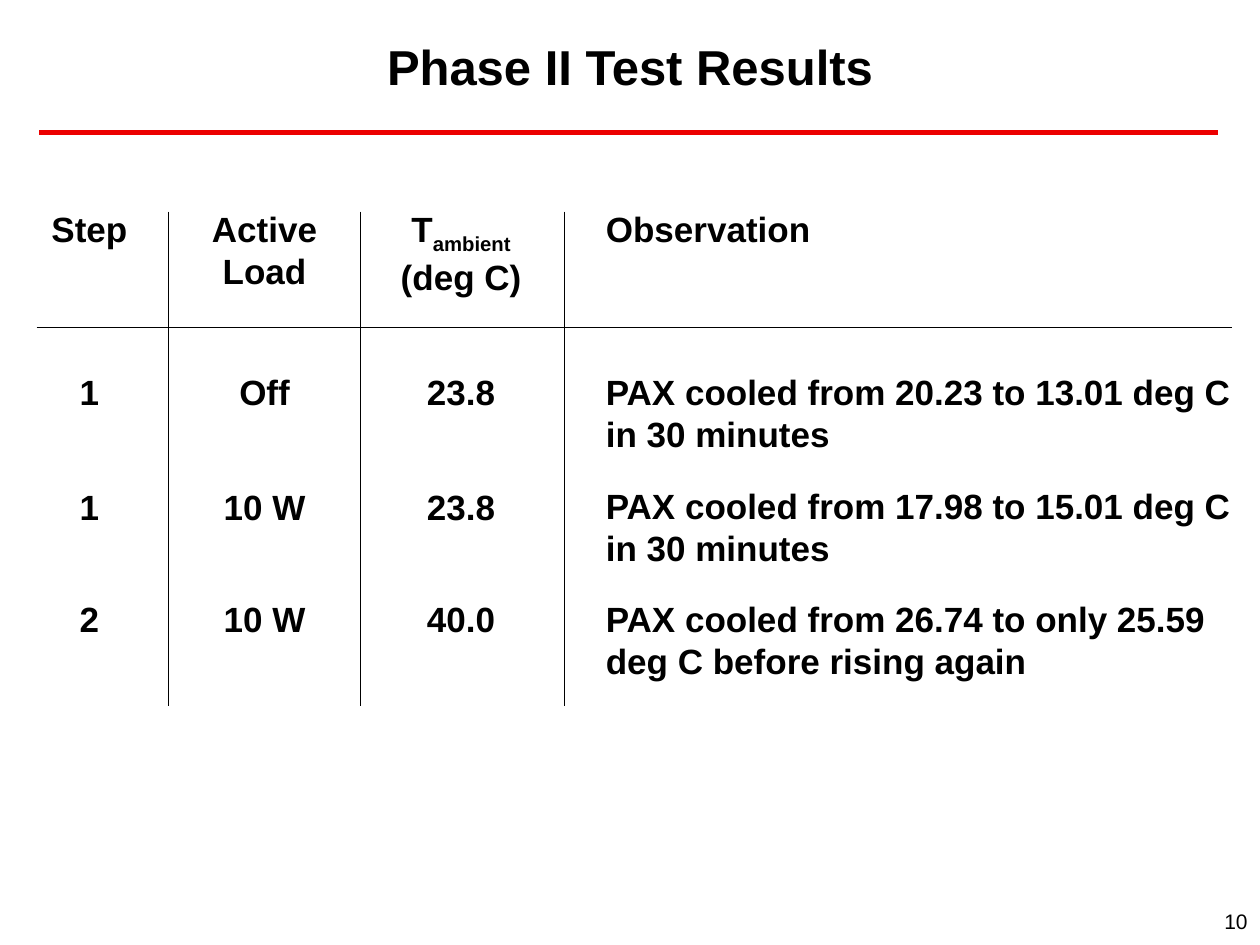
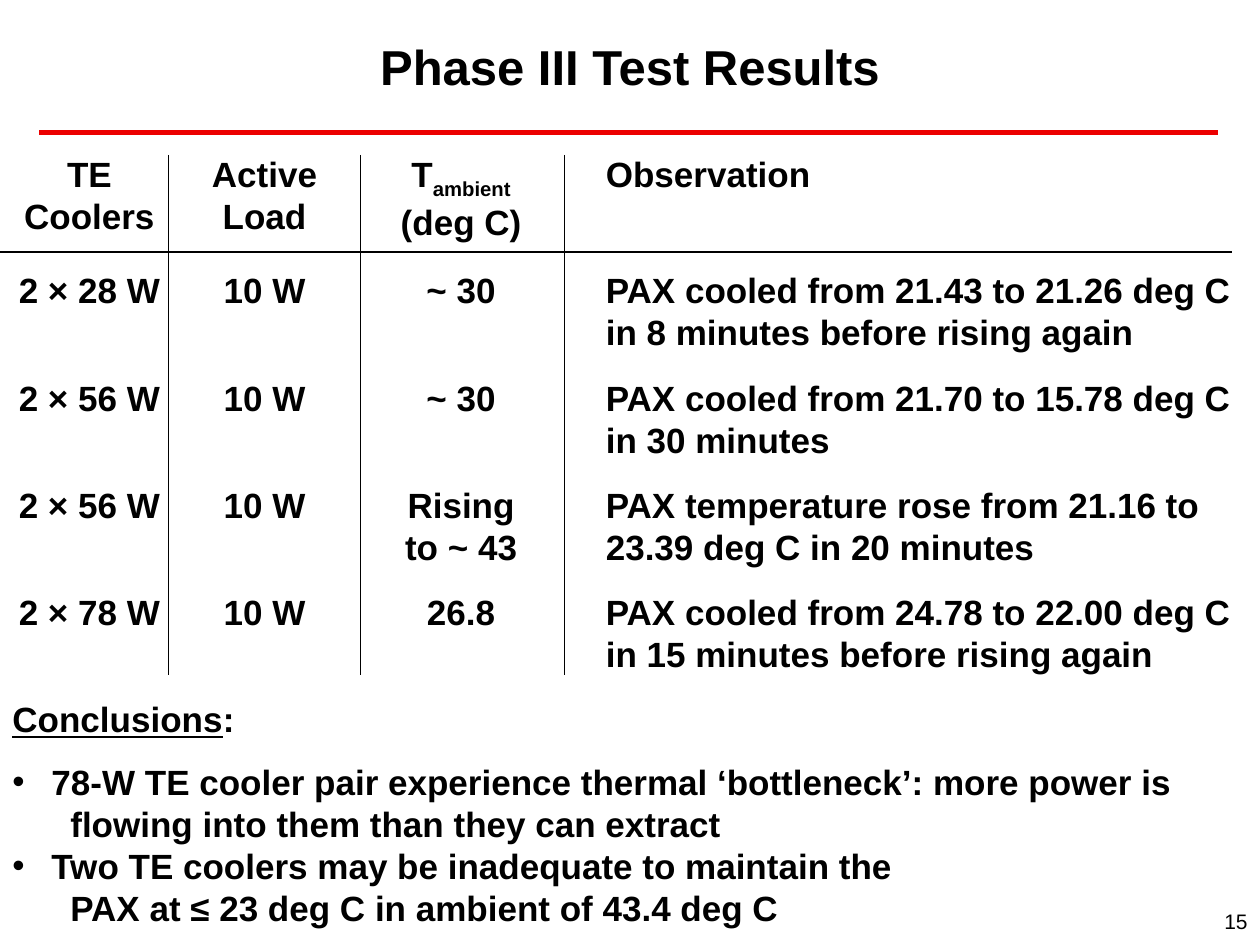
from lxml import etree
from pptx import Presentation
from pptx.dml.color import RGBColor
from pptx.enum import shapes, text
from pptx.oxml import ns
from pptx.util import Inches, Pt

INK = {"text": "000000", "rule": "EC0000"}
FONT = "Arial"
LEFT, MID, RIGHT = text.PP_ALIGN.LEFT, text.PP_ALIGN.CENTER, text.PP_ALIGN.RIGHT

# Columns shared by both result grids: left, width, alignment
COLS = [(0.01, 1.4, MID), (1.35, 1.5, MID), (2.86, 1.6, MID), (4.71, 5.29, LEFT)]
SPLITS = [1.34, 2.86, 4.48]
GRID_END = 9.78
LINE = 0.335

AMBIENT = [[("T", {}), ("ambient", {"baseline": "-25000"})], "(deg C)"]


def add_text(slide, box, paras, size=20, bold=True, align=LEFT,
             anchor=text.MSO_ANCHOR.TOP):
    """Add a text box; a paragraph is a string or a list of (text, run attributes)."""
    frame = slide.shapes.add_textbox(*map(Inches, box)).text_frame
    frame.word_wrap = True
    frame.vertical_anchor = anchor
    for i, para in enumerate(paras):
        p = frame.paragraphs[0] if i == 0 else frame.add_paragraph()
        p.alignment = align
        for words, attrs in [(para, {})] if isinstance(para, str) else para:
            run = p.add_run()
            run.text = words
            run.font.name, run.font.size, run.font.bold = FONT, Pt(size), bold
            run.font.color.rgb = RGBColor.from_string(INK["text"])
            for key, value in attrs.items():
                run._r.get_or_add_rPr().set(key, value)
    return frame


def add_line(slide, start, end, color="text", width=0.75):
    line = slide.shapes.add_connector(shapes.MSO_CONNECTOR.STRAIGHT,
                                      *map(Inches, start + end))
    line.line.color.rgb = RGBColor.from_string(INK[color])
    line.line.width = Pt(width)
    etree.SubElement(line._element.spPr, ns.qn("a:effectLst"))


def add_frame(deck, title, number):
    """Title, red rule and page number."""
    slide = deck.slides.add_slide(deck.slide_layouts[6])
    add_line(slide, (0.31, 1.05), (9.67, 1.05), "rule", 3)
    add_text(slide, (0, 0, 10, 1.04), [title], size=28, align=MID,
             anchor=text.MSO_ANCHOR.MIDDLE)
    add_text(slide, (7.92, 7.16, 2.08, 0.34), [str(number)], size=12,
             bold=False, align=RIGHT)
    return slide


def add_results(slide, box, bar, tops, rows):
    """Ruled grid of tests; bar is the line under the heads, tops start the rows."""
    left, top, width, height = box
    for top_y, row in zip(tops, rows):
        for (x, wide, align), words in zip(COLS, row):
            paras = [words] if isinstance(words, str) else words
            lines = 2 if align == LEFT and top_y > bar else len(paras)
            add_text(slide, (x, top_y, wide, 0.1 + lines * LINE), paras,
                     align=align)
    for x in SPLITS:
        add_line(slide, (x, top), (x, top + height))
    add_line(slide, (left, bar), (left + width, bar))


def add_findings(slide, box, head, points):
    """Underlined heading, then bullets whose second line is set further in."""
    lines = [line for point in points for line in point]
    frame = add_text(slide, box, [[(head, {"u": "sng"}), (":", {})]] + lines)
    starts = [point[0] for point in points]
    for p in frame.paragraphs[1:]:
        props = p._p.get_or_add_pPr()
        if p.text in starts:
            props.set("marL", str(Inches(0.31)))
            props.set("indent", str(-Inches(0.31)))
            etree.SubElement(props, ns.qn("a:buFont"), typeface=FONT)
            etree.SubElement(props, ns.qn("a:buChar"), char="•")
        else:
            props.set("marL", str(Inches(0.46)))
            props.set("indent", "0")
    frame.paragraphs[1].space_before = Pt(12)


def phase_two(deck):
    slide = add_frame(deck, "Phase II Test Results", 10)
    add_results(slide, (0.29, 1.68, GRID_END - 0.29, 3.92), 2.6,
                [1.6, 2.89, 3.8, 4.69], [
        ["Step", ["Active", "Load"], AMBIENT, "Observation"],
        ["1", "Off", "23.8",
         "PAX cooled from 20.23 to 13.01 deg C in 30 minutes"],
        ["1", "10 W", "23.8",
         "PAX cooled from 17.98 to 15.01 deg C in 30 minutes"],
        ["2", "10 W", "40.0",
         "PAX cooled from 26.74 to only 25.59 deg C before rising again"],
    ])


def phase_three(deck):
    slide = add_frame(deck, "Phase III Test Results", 15)
    add_results(slide, (0, 1.23, GRID_END, 4.13), 2,
                [1.16, 2.08, 2.94, 3.79, 4.64], [
        [["TE", "Coolers"], ["Active", "Load"], AMBIENT, "Observation"],
        ["2 × 28 W", "10 W", "~ 30",
         "PAX cooled from 21.43 to 21.26 deg C in 8 minutes before rising again"],
        ["2 × 56 W", "10 W", "~ 30",
         "PAX cooled from 21.70 to 15.78 deg C in 30 minutes"],
        ["2 × 56 W", "10 W", ["Rising", "to ~ 43"],
         "PAX temperature rose from 21.16 to 23.39 deg C in 20 minutes"],
        ["2 × 78 W", "10 W", "26.8",
         "PAX cooled from 24.78 to 22.00 deg C in 15 minutes before rising again"],
    ])
    add_findings(slide, (0, 5.49, 9.68, 1.94), "Conclusions", [
        ["78-W TE cooler pair experience thermal ‘bottleneck’: more power is",
         "flowing into them than they can extract"],
        ["Two TE coolers may be inadequate to maintain the",
         "PAX at ≤ 23 deg C in ambient of 43.4 deg C"],
    ])


def main():
    deck = Presentation()
    deck.slide_width, deck.slide_height = Inches(10), Inches(7.5)
    phase_two(deck)
    phase_three(deck)
    deck.save("out.pptx")


if __name__ == "__main__":
    main()
